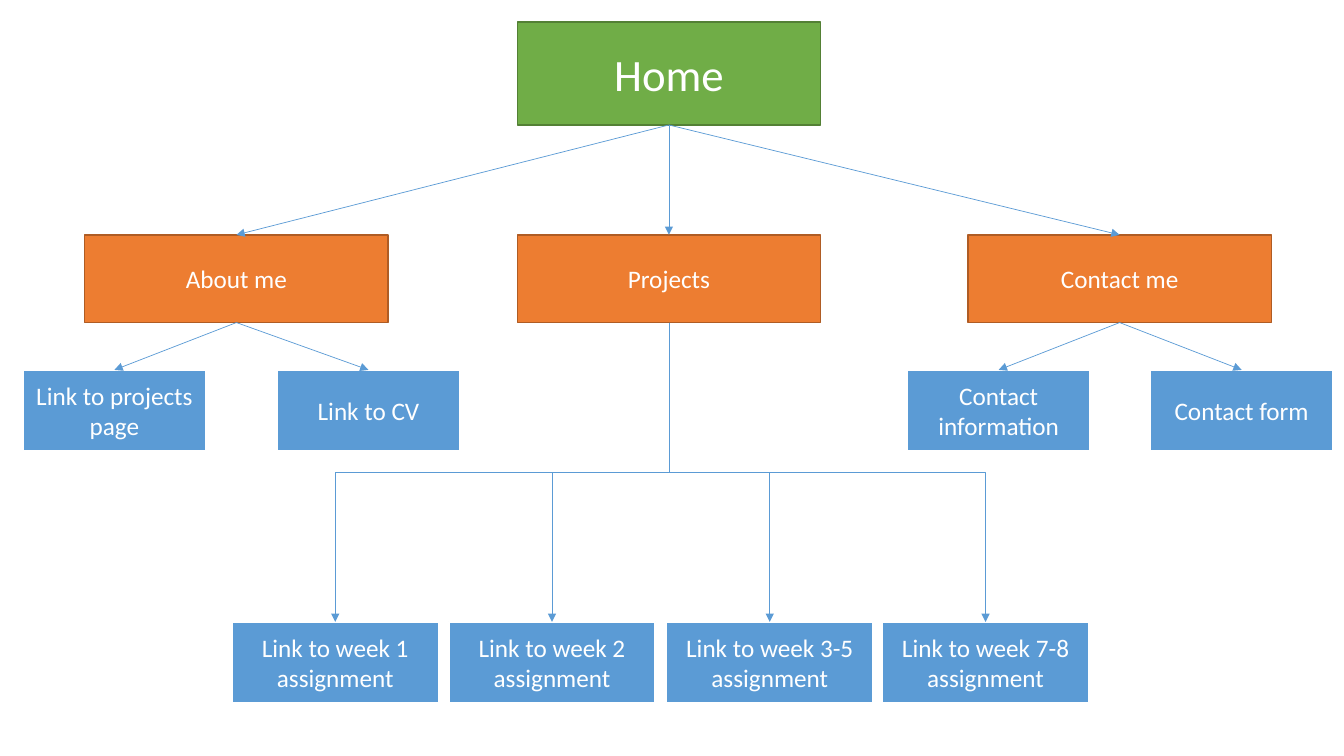
from pptx import Presentation
from pptx.dml.color import RGBColor
from pptx.enum.shapes import MSO_CONNECTOR, MSO_SHAPE
from pptx.enum.text import MSO_ANCHOR, PP_ALIGN
from pptx.oxml.ns import qn
from pptx.oxml.xmlchemy import OxmlElement
from pptx.util import Pt

RECTANGLE = MSO_SHAPE.RECTANGLE
STRAIGHT = MSO_CONNECTOR.STRAIGHT
ELBOW = MSO_CONNECTOR.ELBOW
MIDDLE = MSO_ANCHOR.MIDDLE
CENTER = PP_ALIGN.CENTER

PX = 9144  # 100 px to the inch
TOP_SITE, BOTTOM_SITE = 0, 2
WHITE, BLUE = "FFFFFF", "5B9BD5"

# Each style: width, height, fill, outline, outline width, text size
HOME = (301, 102, "70AD47", "538035", 1, 32)
SECTION = (301, 87, "ED7D31", "AF5C24", 1, 18)
LINK = (181, 81, BLUE, WHITE, 1.5, 18)
WEEK = (205, 81, BLUE, WHITE, 1.5, 18)

SECTION_TOP, LINK_TOP, WEEK_TOP = 233, 367, 617

# Each section: left, name, its links as (left, text)
SECTIONS = [
    (84, "About me", [(23, "Link to projects page"), (275, "Link to CV")]),
    (513, "Projects", []),
    (960, "Contact me", [(900, "Contact information"), (1141, "Contact form")]),
]
WEEKS = [(230, "1"), (445, "2"), (661, "3-5"), (875, "7-8")]


def color(value):
    return RGBColor.from_string(value)


def add_box(page, left, top, text, style):
    width, height, fill, outline, outline_width, size = style
    box = page.shapes.add_shape(
        RECTANGLE, left * PX, top * PX, width * PX, height * PX)
    box.shadow.inherit = False
    box.fill.solid()
    box.fill.fore_color.rgb = color(fill)
    box.line.color.rgb = color(outline)
    box.line.width = Pt(outline_width)
    frame = box.text_frame
    frame.word_wrap = True
    frame.vertical_anchor = MIDDLE
    frame.text = text
    para = frame.paragraphs[0]
    para.alignment = CENTER
    font = para.runs[0].font
    font.name = "Calibri"
    font.size = Pt(size)
    font.color.rgb = color(WHITE)
    return box


def add_arrow(page, parent, child, kind=STRAIGHT):
    arrow = page.shapes.add_connector(kind, 0, 0, 0, 0)
    arrow.begin_connect(parent, BOTTOM_SITE)
    arrow.end_connect(child, TOP_SITE)
    arrow.line.color.rgb = color(BLUE)
    arrow.line.width = Pt(0.5)
    head = OxmlElement("a:tailEnd")
    head.set("type", "triangle")
    arrow.line._get_or_add_ln().append(head)
    properties = arrow._element.spPr
    properties.append(OxmlElement("a:effectLst"))
    return arrow


def add_elbow_arrow(page, parent, child):
    """Turn the elbow a quarter so that it leaves downwards."""
    arrow = add_arrow(page, parent, child, ELBOW)
    left, top, width, height = arrow.left, arrow.top, arrow.width, arrow.height
    goes_right = arrow.end_x > arrow.begin_x
    arrow.left = left + (width - height) // 2
    arrow.top = top + (height - width) // 2
    arrow.width, arrow.height = height, width
    transform = arrow._element.spPr.find(qn("a:xfrm"))
    transform.set("rot", str((270 if goes_right else 90) * 60000))
    transform.set("flipH", "1" if goes_right else "0")


def main():
    deck = Presentation()
    deck.slide_width, deck.slide_height = 1333 * PX, 750 * PX
    page = deck.slides.add_slide(deck.slide_layouts[6])

    # Home page, its sections and their links
    home = add_box(page, 513, 22, "Home", HOME)
    sections = {}
    for left, name, links in SECTIONS:
        section = add_box(page, left, SECTION_TOP, name, SECTION)
        add_arrow(page, home, section)
        sections[name] = section
        for link_left, text in links:
            link = add_box(page, link_left, LINK_TOP, text, LINK)
            add_arrow(page, section, link)

    # Weekly assignments under the projects
    for left, week in WEEKS:
        text = f"Link to week {week} assignment"
        assignment = add_box(page, left, WEEK_TOP, text, WEEK)
        add_elbow_arrow(page, sections["Projects"], assignment)

    deck.save("out.pptx")


if __name__ == "__main__":
    main()
